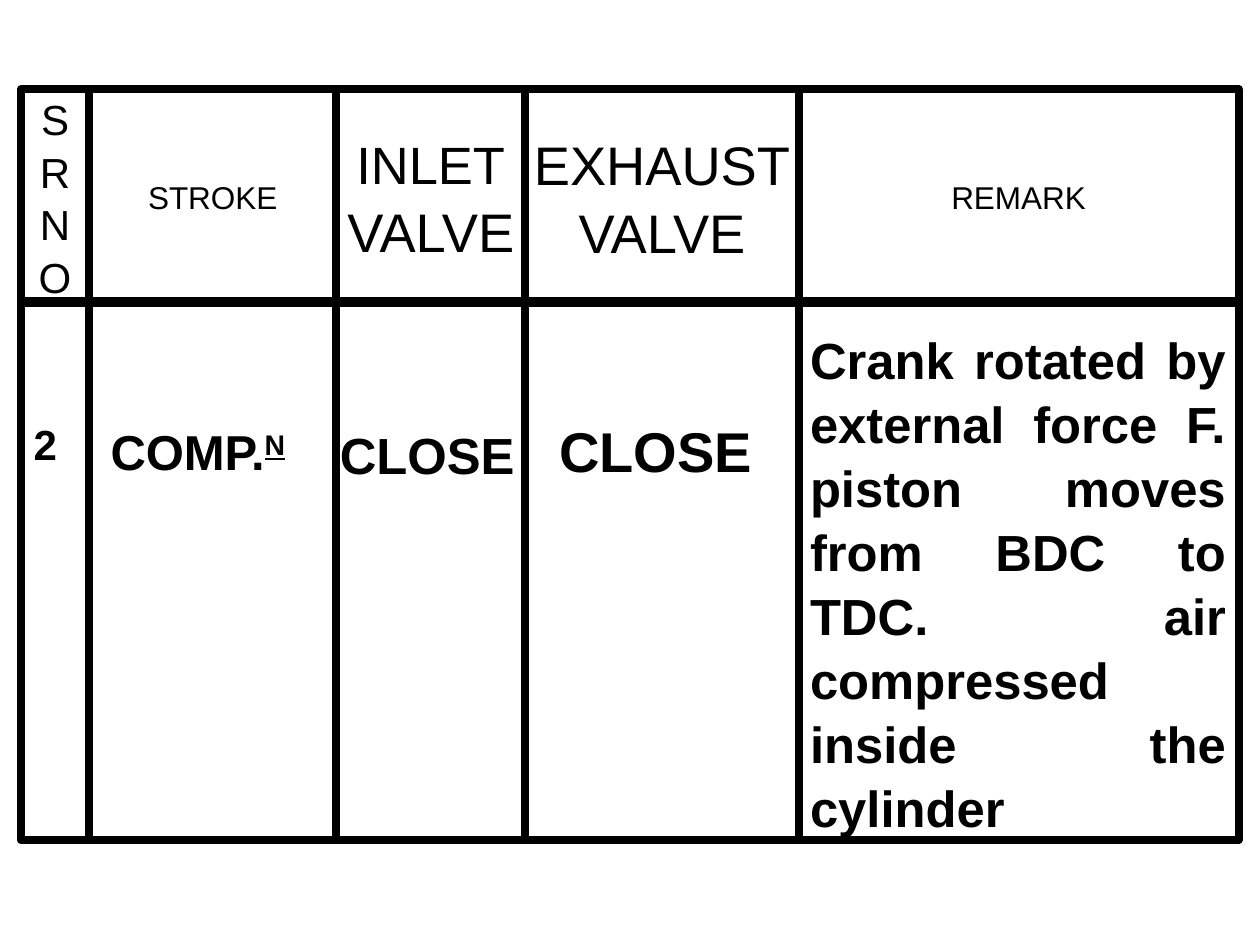
from itertools import pairwise

from pptx import Presentation
from pptx.dml.color import RGBColor
from pptx.enum.shapes import MSO_SHAPE
from pptx.enum.text import MSO_ANCHOR, MSO_AUTO_SIZE, PP_ALIGN
from pptx.util import Cm, Pt

RECTANGLE = MSO_SHAPE.RECTANGLE
MIDDLE = MSO_ANCHOR.MIDDLE
GROW = MSO_AUTO_SIZE.SHAPE_TO_FIT_TEXT
LEFT, CENTER, JUSTIFY = PP_ALIGN.LEFT, PP_ALIGN.CENTER, PP_ALIGN.JUSTIFY

COLORS = {"ink": "000000", "paper": "FFFFFF"}
FONT = "Arial"
LINE_SPACING = 1.05

# Grid of the valve chart, in cm
COLUMN_EDGES = [0.42, 1.8, 6.78, 10.59, 16.1, 24.97]
HEADER_TOP, HEADER_HEIGHT = 1.8, 4.32
BODY_TOP, BODY_HEIGHT = 6.07, 10.87

# Each heading is a list of (line, size)
HEADINGS = [
    [(letter, 24) for letter in "SRNO"],
    [("STROKE", 18)],
    [("INLET", 30), ("VALVE", 31)],
    [("EXHAUST", 31), ("VALVE", 31)],
    [("REMARK", 18)],
]
REMARK = (
    "Crank rotated by external force F. piston moves from BDC to TDC. "
    "air compressed inside the cylinder"
)


def color(name):
    return RGBColor.from_string(COLORS[name])


def add_run(paragraph, text, size=18, bold=False, underline=False, raised=0):
    run = paragraph.add_run()
    run.text = text
    run.font.name = FONT
    run.font.size = Pt(size)
    run.font.bold = bold
    run.font.underline = underline
    run.font.color.rgb = color("ink")
    if raised:
        run.font._element.set("baseline", str(raised * 1000))


def format_paragraph(paragraph, align):
    paragraph.alignment = align
    paragraph.line_spacing = LINE_SPACING


def add_cell(slide, left, top, width, height):
    cell = slide.shapes.add_shape(
        RECTANGLE, Cm(left), Cm(top), Cm(width), Cm(height)
    )
    cell.shadow.inherit = False
    cell.fill.background()
    cell.line.color.rgb = color("ink")
    cell.line.width = Pt(4.5)
    return cell


def add_heading(cell, lines):
    frame = cell.text_frame
    frame.word_wrap = False
    frame.vertical_anchor = MIDDLE
    for index, (line, size) in enumerate(lines):
        paragraph = frame.add_paragraph() if index else frame.paragraphs[0]
        format_paragraph(paragraph, CENTER)
        add_run(paragraph, line, size=size)


def add_entry(slide, text, left, top, width, height, align=LEFT, wrap=False, **style):
    """Add a bold table entry and return its paragraph."""
    entry = slide.shapes.add_textbox(Cm(left), Cm(top), Cm(width), Cm(height))
    frame = entry.text_frame
    frame.word_wrap = wrap
    frame.auto_size = GROW
    paragraph = frame.paragraphs[0]
    format_paragraph(paragraph, align)
    add_run(paragraph, text, bold=True, **style)
    return paragraph


def main():
    prs = Presentation()
    prs.slide_width, prs.slide_height = Cm(25.4), Cm(19.05)
    slide = prs.slides.add_slide(prs.slide_layouts[6])
    slide.background.fill.solid()
    slide.background.fill.fore_color.rgb = color("paper")

    # Ruled cells: heading above, body below
    for (left, right), heading in zip(pairwise(COLUMN_EDGES), HEADINGS):
        width = right - left
        header = add_cell(slide, left, HEADER_TOP, width, HEADER_HEIGHT)
        add_heading(header, heading)
        add_cell(slide, left, BODY_TOP, width, BODY_HEIGHT)

    # Entries of the compression stroke
    add_entry(slide, "2", 0.43, 8.26, 0.99, 1.27, size=24)
    stroke = add_entry(slide, "COMP.", 1.98, 8.31, 5.46, 1.45, wrap=True, size=28)
    add_run(stroke, "N", size=28, bold=True, underline=True, raised=30)
    add_entry(slide, "CLOSE", 6.6, 8.36, 4.04, 1.47, size=29)
    add_entry(slide, "CLOSE", 11.02, 8.2, 4.45, 1.63, size=32)
    add_entry(slide, REMARK, 16.08, 6.45, 8.89, 10.19,
              align=JUSTIFY, wrap=True, size=29)

    prs.save("out.pptx")


if __name__ == "__main__":
    main()
